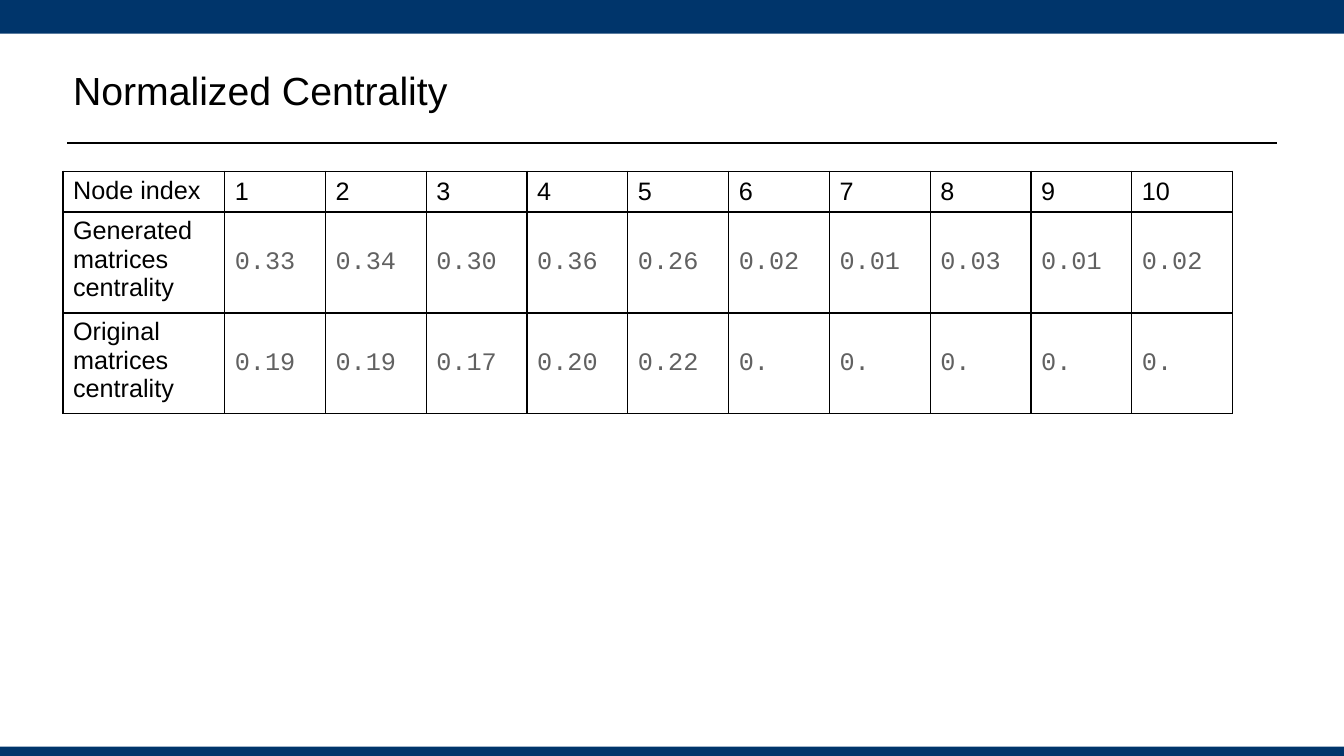
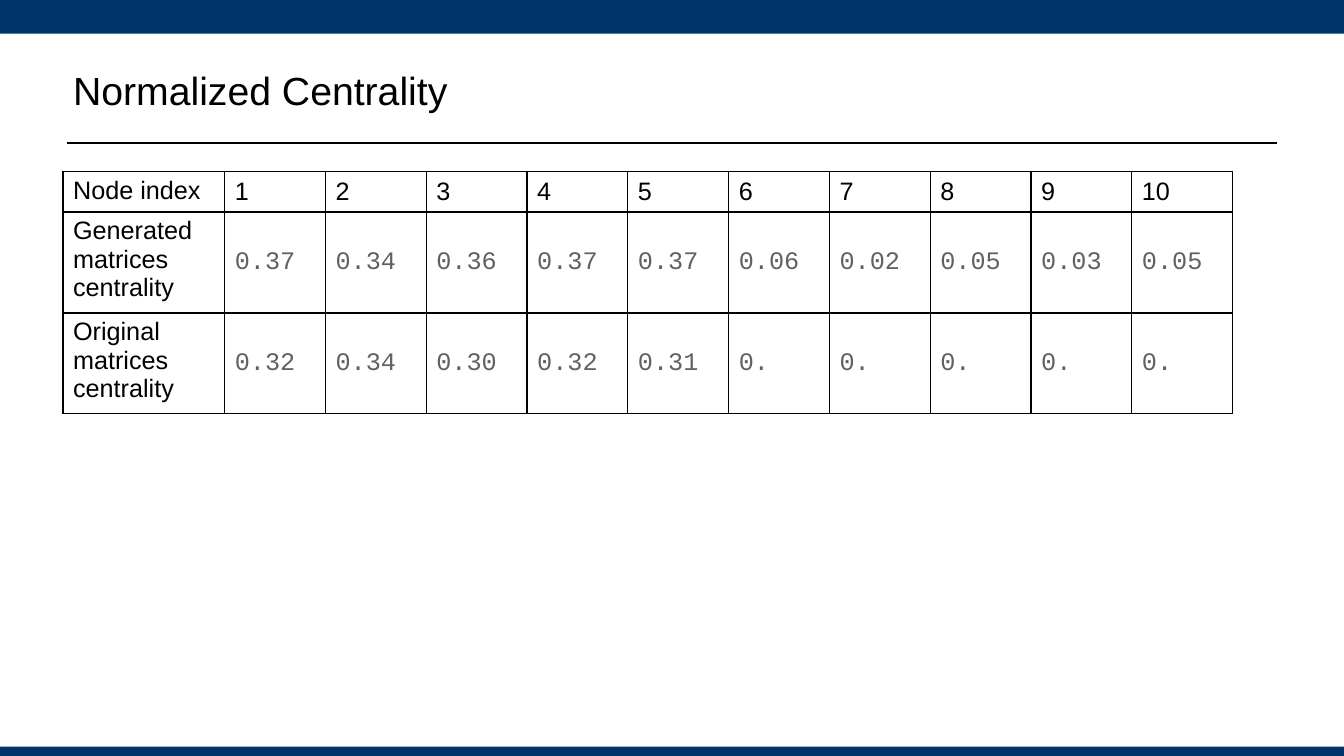
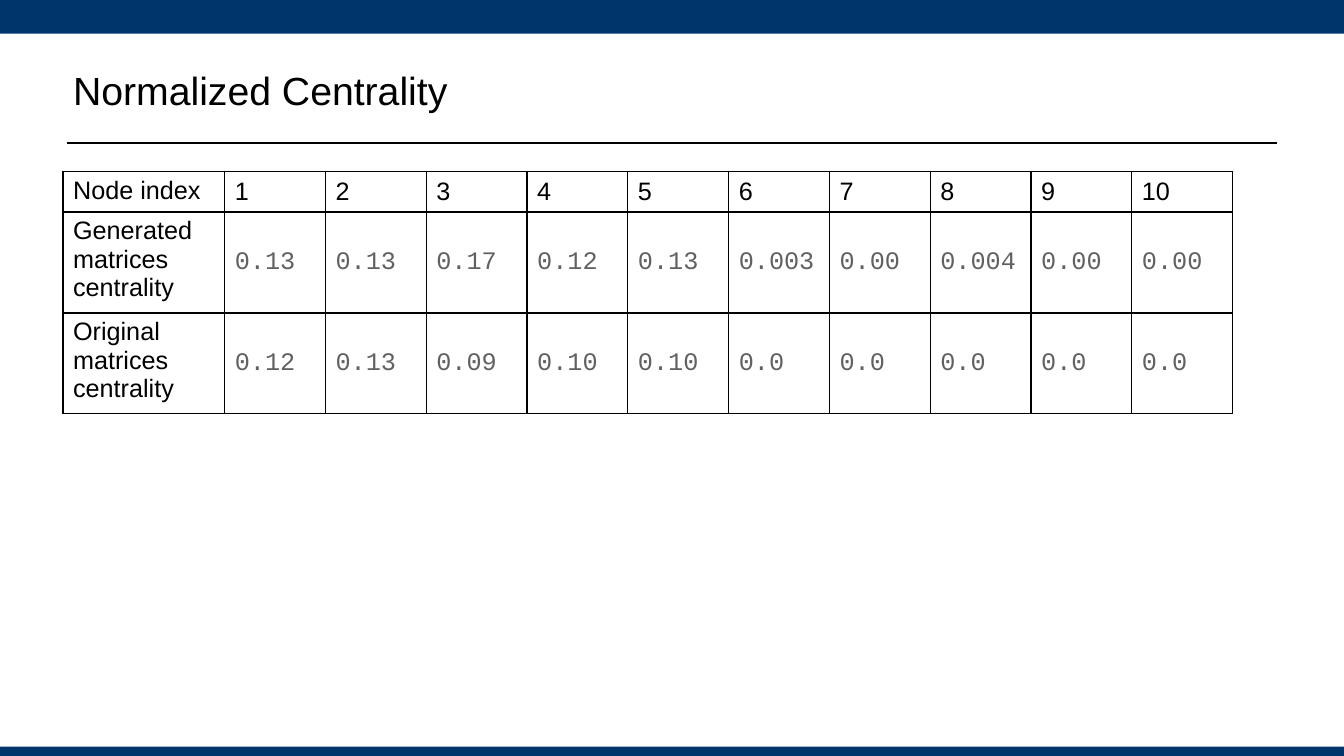
from dataclasses import dataclass

from lxml import etree
from pptx import Presentation
from pptx import util as u
from pptx.dml.color import RGBColor
from pptx.enum import shapes, text
from pptx.oxml import ns

NAVY = RGBColor(0x00, 0x35, 0x6B)
BLACK = RGBColor(0x00, 0x00, 0x00)
GREY = RGBColor(0x61, 0x61, 0x61)
SANS, MONO = "Arial", "Courier New"

EMU_PER_PX = 9525
PAGE_WIDTH, PAGE_HEIGHT = 1280, 720
TITLE_ONLY = 5


@dataclass(frozen=True)
class Band:
    top: int
    height: int


@dataclass(frozen=True)
class Centrality:
    title: str
    generated: tuple[str, ...]
    original: tuple[str, ...]


BANDS = (Band(0, 32), Band(711, 9))
TITLE_BOX = (60, 58, 402, 54)
RULE = (64, 136, 1216, 136)
TABLE_LEFT, TABLE_TOP = 60, 163
LABEL_WIDTH, NODE_WIDTH, NODE_COUNT = 154, 96, 10
ROW_HEIGHTS = (39, 91, 91)

TITLE = "Normalized Centrality"
PAGES = (
    Centrality(
        TITLE,
        ("0.33", "0.34", "0.30", "0.36", "0.26", "0.02", "0.01", "0.03", "0.01", "0.02"),
        ("0.19", "0.19", "0.17", "0.20", "0.22") + ("0.",) * 5,
    ),
    Centrality(
        TITLE,
        ("0.37", "0.34", "0.36", "0.37", "0.37", "0.06", "0.02", "0.05", "0.03", "0.05"),
        ("0.32", "0.34", "0.30", "0.32", "0.31") + ("0.",) * 5,
    ),
    Centrality(
        TITLE,
        ("0.13", "0.13", "0.17", "0.12", "0.13", "0.003", "0.00", "0.004", "0.00", "0.00"),
        ("0.12", "0.13", "0.09", "0.10", "0.10") + ("0.0",) * 5,
    ),
)


def px(length: int) -> u.Emu:
    return u.Emu(length * EMU_PER_PX)


def format_runs(para, size: int, name: str, color: RGBColor) -> None:
    for span in para.runs:
        span.font.size = u.Pt(size)
        span.font.name = name
        span.font.color.rgb = color


# Shared bands and rule, kept on the layout
def dress_layout(layout, page) -> None:
    for holder in list(layout.placeholders):
        if holder.placeholder_format.type != shapes.PP_PLACEHOLDER.TITLE:
            layout.shapes.element.remove(holder.element)

    parts = []
    for band in BANDS:
        box = page.shapes.add_shape(
            shapes.MSO_SHAPE.RECTANGLE, 0, px(band.top), px(PAGE_WIDTH), px(band.height)
        )
        box.shadow.inherit = False
        box.fill.solid()
        box.fill.fore_color.rgb = NAVY
        box.line.fill.background()
        parts.append(box)

    rule = page.shapes.add_connector(shapes.MSO_CONNECTOR.STRAIGHT, *map(px, RULE))
    rule.line.color.rgb = BLACK
    rule.line.width = u.Pt(1.25)
    etree.SubElement(rule.element.spPr, ns.qn("a:effectLst"))
    parts.append(rule)

    for part in parts:
        layout.shapes.element.append(part.element)


# Title
def add_title(page, wording: str) -> None:
    box = page.shapes.title
    box.left, box.top, box.width, box.height = map(px, TITLE_BOX)
    frame = box.text_frame
    frame.text = wording
    frame.word_wrap = True
    frame.auto_size = text.MSO_AUTO_SIZE.SHAPE_TO_FIT_TEXT
    frame.vertical_anchor = text.MSO_ANCHOR.TOP
    para = frame.paragraphs[0]
    para.alignment = text.PP_ALIGN.LEFT
    format_runs(para, 28, SANS, BLACK)


# Table
def add_borders(cell) -> None:
    properties = cell._tc.get_or_add_tcPr()
    for side in ("a:lnL", "a:lnR", "a:lnT", "a:lnB"):
        line = etree.SubElement(properties, ns.qn(side), w=str(u.Pt(1)))
        fill = etree.SubElement(line, ns.qn("a:solidFill"))
        etree.SubElement(fill, ns.qn("a:srgbClr"), val=str(BLACK))


def add_centrality_table(page, data: Centrality) -> None:
    rows = (
        ("Node index", *(str(node) for node in range(1, NODE_COUNT + 1))),
        ("Generated matrices centrality", *data.generated),
        ("Original matrices centrality", *data.original),
    )
    widths = (LABEL_WIDTH,) + (NODE_WIDTH,) * NODE_COUNT
    table = page.shapes.add_table(
        len(rows), len(widths), px(TABLE_LEFT), px(TABLE_TOP),
        px(sum(widths)), px(sum(ROW_HEIGHTS)),
    ).table
    table.first_row = table.horz_banding = False
    for column, width in zip(table.columns, widths):
        column.width = px(width)
    for row, height in zip(table.rows, ROW_HEIGHTS):
        row.height = px(height)

    for r, wordings in enumerate(rows):
        for c, wording in enumerate(wordings):
            cell = table.cell(r, c)
            add_borders(cell)
            cell.fill.background()
            cell.vertical_anchor = text.MSO_ANCHOR.MIDDLE if c else text.MSO_ANCHOR.TOP
            cell.text_frame.text = wording
            name, color = (MONO, GREY) if r and c else (SANS, BLACK)
            format_runs(cell.text_frame.paragraphs[0], 18, name, color)


def main() -> None:
    deck = Presentation()
    deck.slide_width, deck.slide_height = px(PAGE_WIDTH), px(PAGE_HEIGHT)
    layout = deck.slide_layouts[TITLE_ONLY]
    for number, data in enumerate(PAGES):
        page = deck.slides.add_slide(layout)
        if number == 0:
            dress_layout(layout, page)
        add_title(page, data.title)
        add_centrality_table(page, data)
    deck.save("out.pptx")


if __name__ == "__main__":
    main()
